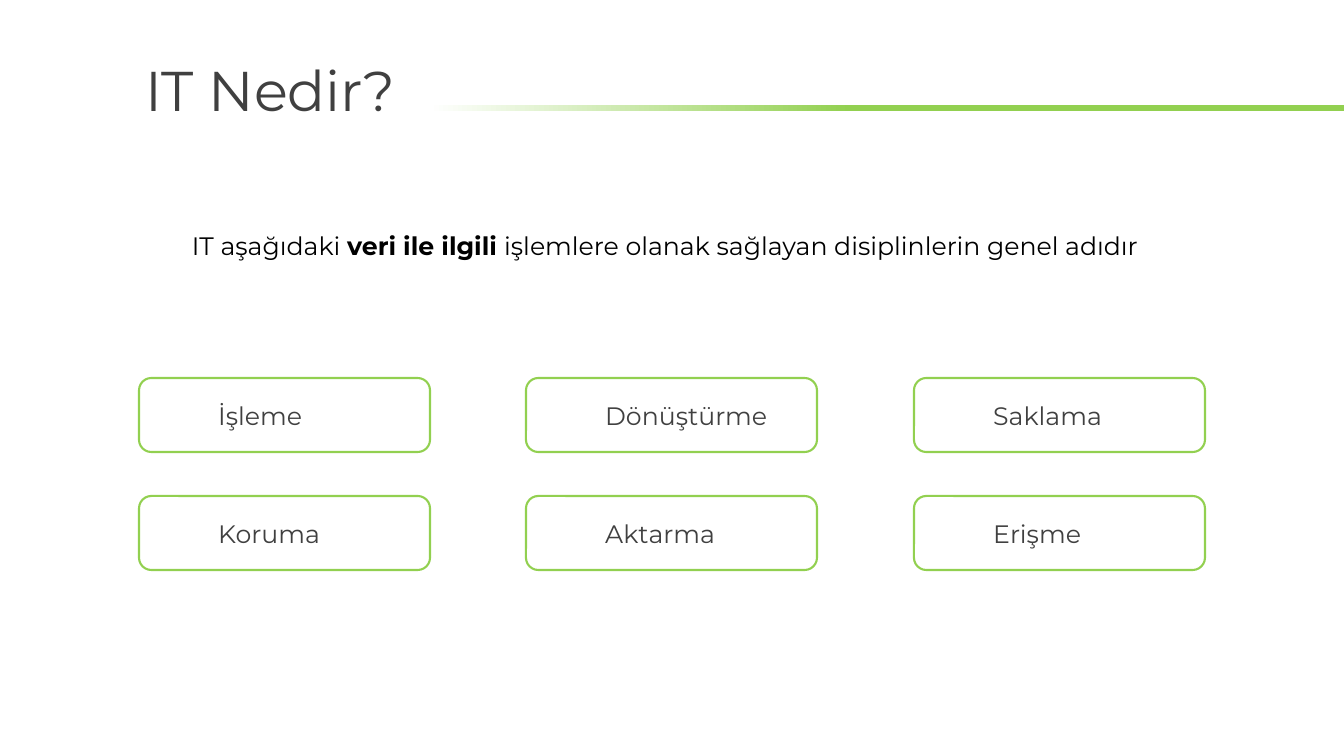
from pptx import Presentation
from pptx import util as u
from pptx.dml.color import RGBColor
from pptx.enum import shapes, text

PX = 914400 / 100.8
FACE = "Montserrat"
GREEN = RGBColor(0x92, 0xD0, 0x50)
GREY = RGBColor(0x40, 0x40, 0x40)
BLACK = RGBColor(0, 0, 0)
WHITE = RGBColor(0xFF, 0xFF, 0xFF)

LEAD = [
    ("IT aşağıdaki ", False),
    ("veri ile ilgili ", True),
    ("işlemlere olanak sağlayan disiplinlerin genel adıdır", False),
]
TASKS = [
    ["İşleme", "Dönüştürme", "Saklama"],
    ["Koruma", "Aktarma", "Erişme"],
]


def px(n):
    return u.Emu(round(n * PX))


def style(run, size, color, bold=False):
    font = run.font
    font.name, font.size, font.bold = FACE, u.Pt(size), bold
    font.color.rgb = color


def add_title(slide, words, x, y, w, h):
    title = slide.shapes.title
    title.left, title.top, title.width, title.height = map(px, (x, y, w, h))
    frame = title.text_frame
    frame.text = words
    frame.word_wrap = False
    frame.auto_size = text.MSO_AUTO_SIZE.NONE
    frame.vertical_anchor = text.MSO_ANCHOR.TOP
    para = frame.paragraphs[0]
    para.alignment = text.PP_ALIGN.LEFT
    para.line_spacing = 1.0
    style(para.runs[0], 40, GREY)


def add_rule(slide, x, y, w, h):
    bar = slide.shapes.add_shape(
        shapes.MSO_SHAPE.RECTANGLE, *map(px, (x, y, w, h)))
    bar.shadow.inherit = False
    bar.line.fill.background()
    bar.fill.gradient()
    bar.fill.gradient_angle = 180
    stops = zip(bar.fill.gradient_stops, [(0.54, GREEN), (1, WHITE)])
    for stop, (place, color) in stops:
        stop.position = place
        stop.color.rgb = color


def add_lead(slide, parts, x, y, w, h):
    box = slide.shapes.add_textbox(*map(px, (x, y, w, h)))
    box.text_frame.word_wrap = False
    para = box.text_frame.paragraphs[0]
    for words, bold in parts:
        run = para.add_run()
        run.text = words
        style(run, 18, BLACK, bold)


def add_task(slide, words, x, y, w, h):
    card = slide.shapes.add_shape(
        shapes.MSO_SHAPE.ROUNDED_RECTANGLE, *map(px, (x, y, w, h)))
    card.shadow.inherit = False
    card.fill.background()
    card.line.color.rgb = GREEN
    card.line.width = u.Pt(1.5)
    frame = card.text_frame
    frame.text = words
    frame.margin_left = u.Inches(0.75)
    frame.vertical_anchor = text.MSO_ANCHOR.MIDDLE
    para = frame.paragraphs[0]
    para.alignment = text.PP_ALIGN.LEFT
    style(para.runs[0], 18, GREY)


def main():
    deck = Presentation()
    deck.slide_width, deck.slide_height = px(1344), px(756)
    slide = deck.slides.add_slide(deck.slide_layouts[5])

    # Heading and fading rule
    add_title(slide, "IT Nedir?", 135, 50, 294, 78)
    add_rule(slide, 429, 105, 915, 6)

    # Lead sentence
    add_lead(slide, LEAD, 182, 225, 979, 40)

    # Grid of data tasks
    for row, names in enumerate(TASKS):
        for col, name in enumerate(names):
            add_task(slide, name, 139 + 775 * col // 2, 378 + 118 * row, 291, 74)

    deck.save("out.pptx")


if __name__ == "__main__":
    main()
